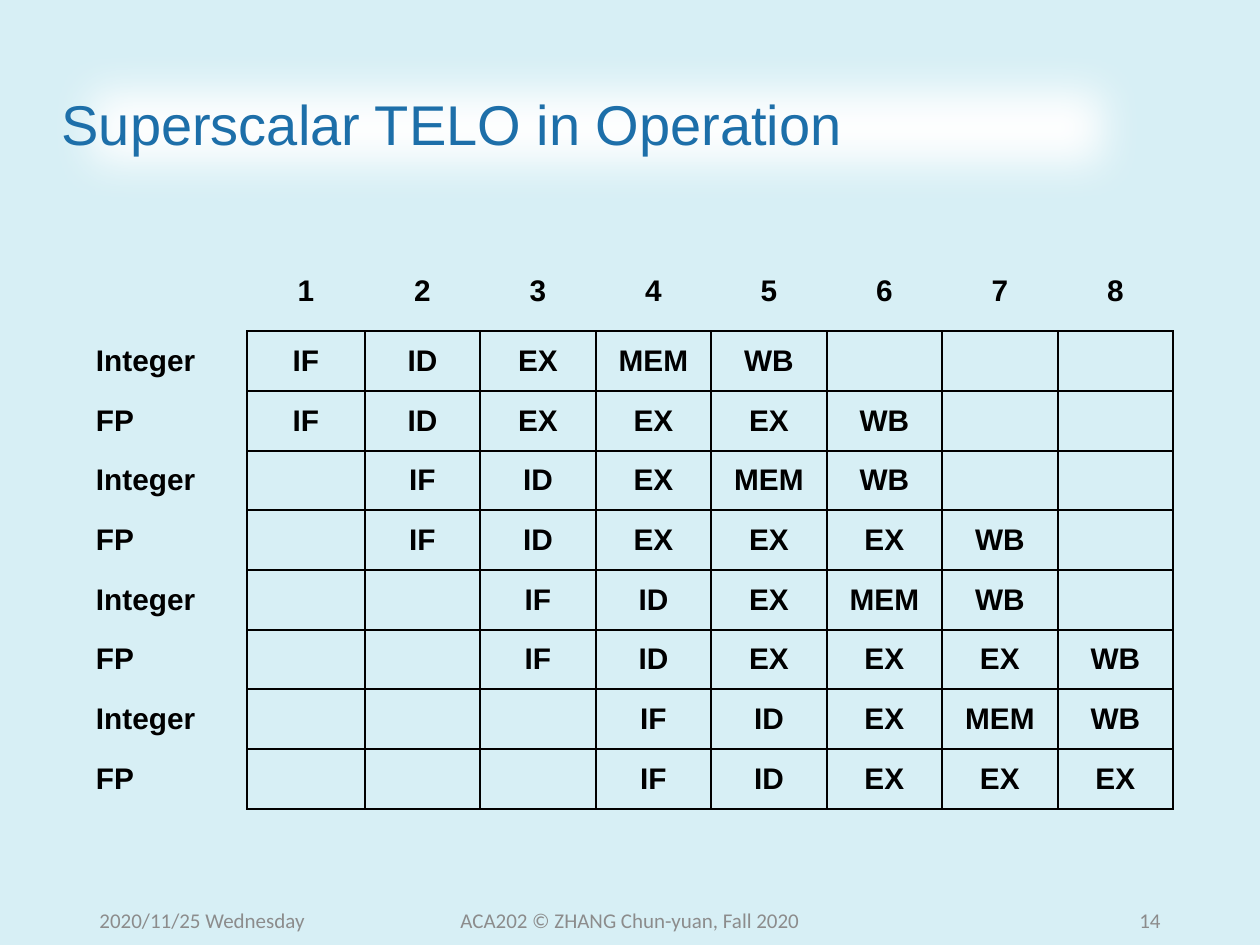
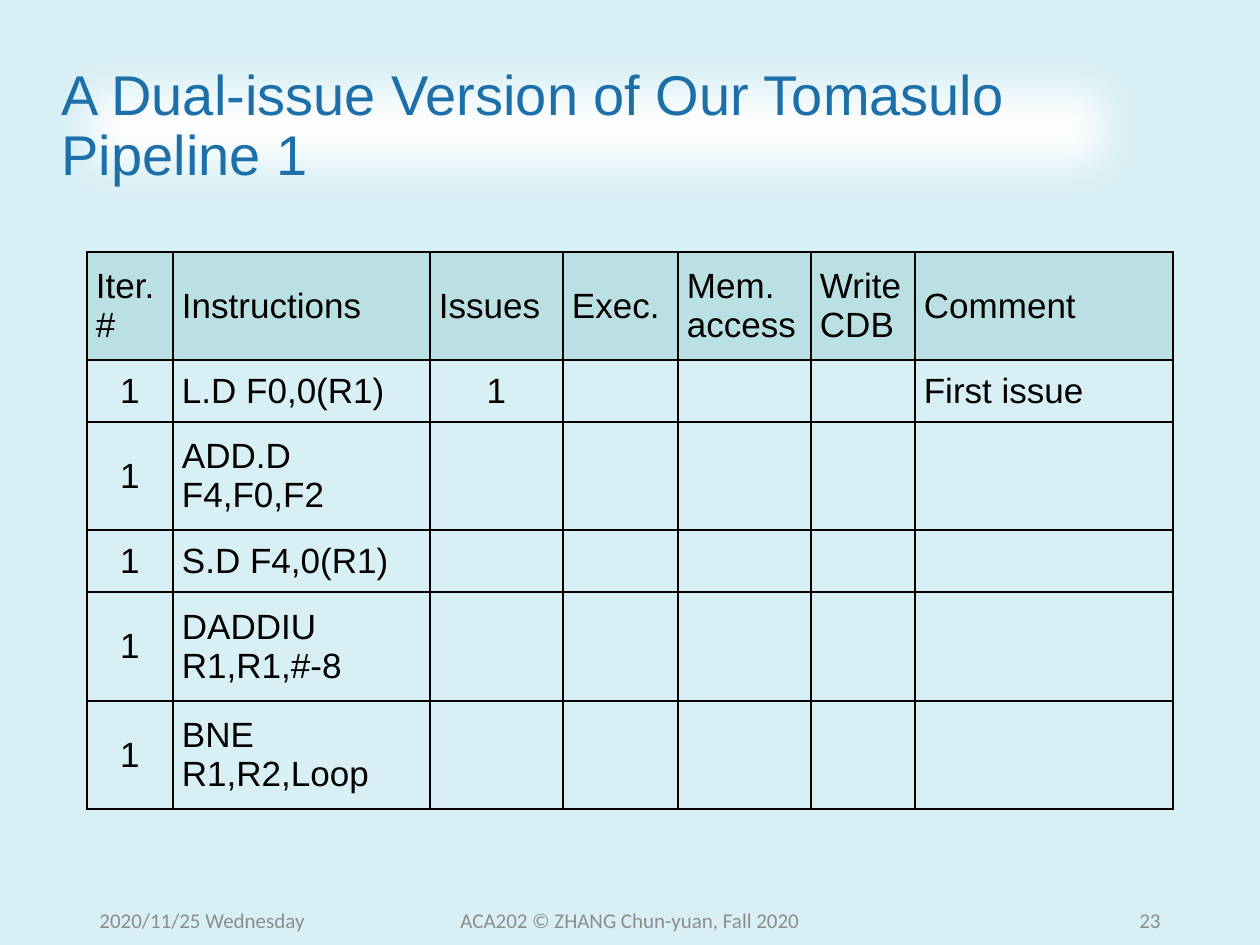
"""Build two slides on superscalar and dual-issue pipelines."""
import pptx
import pptx.dml.color
import pptx.enum.text
import pptx.oxml.ns
import pptx.util
from lxml import etree

RGBColor = pptx.dml.color.RGBColor
Align = pptx.enum.text.PP_ALIGN
Anchor = pptx.enum.text.MSO_ANCHOR

PIXEL = 914400 // 126
SLIDE_SIZE = (1260, 945)
TABLE_LEFT, TABLE_TOP = 87, 252
SOFT_EDGE = 44

BACKGROUND = RGBColor(0xD7, 0xEF, 0xF5)
BAND = RGBColor(0xFF, 0xFF, 0xFF)
TITLE = RGBColor(0x1D, 0x6F, 0xA9)
FOOTER = RGBColor(0x8C, 0x8C, 0x8C)
HEADER_FILL = RGBColor(0xBB, 0xE0, 0xE3)
BLACK = RGBColor(0x00, 0x00, 0x00)

DATE = "2020/11/25 Wednesday"
COURSE = "ACA202 © ZHANG Chun-yuan, Fall 2020"
CYCLES = 8
ISSUE_PAIRS = 4
STAGES = {
    "Integer": ["IF", "ID", "EX", "MEM", "WB"],
    "FP": ["IF", "ID", "EX", "EX", "EX", "WB"],
}
HEADINGS = ["Iter. #", "Instructions", "Issues", "Exec.", "Mem. access", "Write CDB", "Comment"]
INSTRUCTIONS = ["L.D F0,0(R1)", "ADD.D F4,F0,F2", "S.D F4,0(R1)", "DADDIU R1,R1,#-8", "BNE R1,R2,Loop"]


def emu(pixels):
    """Turn pixels into EMU."""
    return pptx.util.Emu(pixels * PIXEL)


def split(total, count):
    """Divide a length into nearly equal whole-pixel parts."""
    edges = [round(total * index / count) for index in range(count + 1)]
    return [end - start for start, end in zip(edges, edges[1:])]


def write_text(frame, text, size, color, font="Arial", bold=False, align=Align.LEFT, spacing=None):
    """Write one formatted paragraph into a text frame."""
    frame.word_wrap = True
    paragraph = frame.paragraphs[0]
    paragraph.alignment = align
    paragraph.line_spacing = spacing
    run = paragraph.add_run()
    run.text = text
    run.font.name = font
    run.font.size = pptx.util.Pt(size)
    run.font.bold = bold
    run.font.color.rgb = color


def add_effect(shape, name, **attributes):
    """Give a shape one effect in place of its shadow."""
    shape.shadow.inherit = False
    effects = shape.element.spPr.find(pptx.oxml.ns.qn("a:effectLst"))
    etree.SubElement(effects, pptx.oxml.ns.qn(name), attributes)


def set_title(slide, text):
    """Place the title on its soft white band."""
    title = slide.shapes.title
    title.left, title.top, title.width, title.height = map(emu, (49, 50, 1095, 155))
    title.fill.solid()
    title.fill.fore_color.rgb = BAND
    add_effect(title, "a:softEdge", rad=str(emu(SOFT_EDGE)))
    title.text_frame.auto_size = pptx.enum.text.MSO_AUTO_SIZE.NONE
    title.text_frame.vertical_anchor = Anchor.MIDDLE
    write_text(title.text_frame, text, 32, TITLE, spacing=0.9)


def add_footers(slide, number):
    """Add the date, the course and the slide number."""
    footers = [
        (87, 284, DATE, Align.LEFT),
        (417, 426, COURSE, Align.CENTER),
        (890, 283, str(number), Align.RIGHT),
    ]
    for left, width, text, align in footers:
        box = slide.shapes.add_textbox(emu(left), emu(895), emu(width), emu(50))
        box.text_frame.vertical_anchor = Anchor.MIDDLE
        write_text(box.text_frame, text, 12, FOOTER, font="Calibri", align=align)


def set_borders(cell, sides):
    """Draw black lines on the named sides and none on the others."""
    properties = cell._tc.get_or_add_tcPr()
    for index, side in enumerate("LRTB"):
        line = etree.Element(pptx.oxml.ns.qn("a:ln" + side), w=str(pptx.util.Pt(1)))
        if side in sides:
            fill = etree.SubElement(line, pptx.oxml.ns.qn("a:solidFill"))
            etree.SubElement(fill, pptx.oxml.ns.qn("a:srgbClr"), val=str(BLACK))
        else:
            etree.SubElement(line, pptx.oxml.ns.qn("a:noFill"))
        properties.insert(index, line)


def add_table(slide, rows, widths, heights, style):
    """Add a table; style gives borders, fill and text format for a place."""
    frame = slide.shapes.add_table(
        len(rows), len(widths), emu(TABLE_LEFT), emu(TABLE_TOP), emu(sum(widths)), emu(sum(heights))
    )
    table = frame.table
    table.first_row = table.horz_banding = False
    for column, width in zip(table.columns, widths):
        column.width = emu(width)
    for row, height in zip(table.rows, heights):
        row.height = emu(height)
    for row_index, texts in enumerate(rows):
        for column_index, text in enumerate(texts):
            cell = table.cell(row_index, column_index)
            sides, fill, text_format = style(row_index, column_index)
            cell.vertical_anchor = Anchor.MIDDLE
            cell.margin_left = cell.margin_right = emu(9)
            cell.margin_top = cell.margin_bottom = emu(5)
            if fill is None:
                cell.fill.background()
            else:
                cell.fill.solid()
                cell.fill.fore_color.rgb = fill
            set_borders(cell, sides)
            if text:
                write_text(cell.text_frame, text, color=BLACK, **text_format)


def pipeline_rows():
    """List the cycle in which each issued instruction takes each stage."""
    rows = [[""] + [str(cycle + 1) for cycle in range(CYCLES)]]
    for start in range(ISSUE_PAIRS):
        for kind, stages in STAGES.items():
            cycles = [""] * start + stages + [""] * CYCLES
            rows.append([kind] + cycles[:CYCLES])
    return rows


def pipeline_style(row, column):
    """Box the stages only, leaving cycle numbers and labels open."""
    if row == 0:
        sides = "B" if column else ""
    else:
        sides = "LRTB" if column else "R"
    align = Align.CENTER if column else Align.JUSTIFY
    return sides, None, {"size": 17, "bold": True, "align": align}


def issue_rows():
    """List the loop instructions with the first one issued."""
    rows = [["1", instruction] + [""] * 5 for instruction in INSTRUCTIONS]
    rows[0][2] = "1"
    rows[0][-1] = "First issue"
    return [HEADINGS] + rows


def issue_style(row, column):
    """Box every cell, shade the headings and centre the numbers."""
    align = Align.CENTER if row and column in (0, 2) else Align.JUSTIFY
    return "LRTB", None if row else HEADER_FILL, {"size": 20, "align": align}


def add_slide(presentation, title, number):
    """Add a slide with the shared title and footers."""
    slide = presentation.slides.add_slide(presentation.slide_layouts.get_by_name("Title Only"))
    set_title(slide, title)
    add_footers(slide, number)
    return slide


def main():
    """Build and save the presentation."""
    presentation = pptx.Presentation()
    presentation.slide_width, presentation.slide_height = (
        pptx.util.Inches(pixels / 126) for pixels in SLIDE_SIZE
    )
    background = presentation.slide_master.background.fill
    background.solid()
    background.fore_color.rgb = BACKGROUND

    slide = add_slide(presentation, "Superscalar TELO in Operation", 14)
    widths = [160, 118] + split(808, CYCLES - 1)
    heights = [79] + split(478, 2 * ISSUE_PAIRS)
    add_table(slide, pipeline_rows(), widths, heights, pipeline_style)

    slide = add_slide(presentation, "A Dual-issue Version of Our Tomasulo Pipeline 1", 23)
    widths = [86, 257, 133, 115, 133, 104, 258]
    heights = [108, 62, 108, 62, 109, 108]
    add_table(slide, issue_rows(), widths, heights, issue_style)

    presentation.save("out.pptx")


main()
